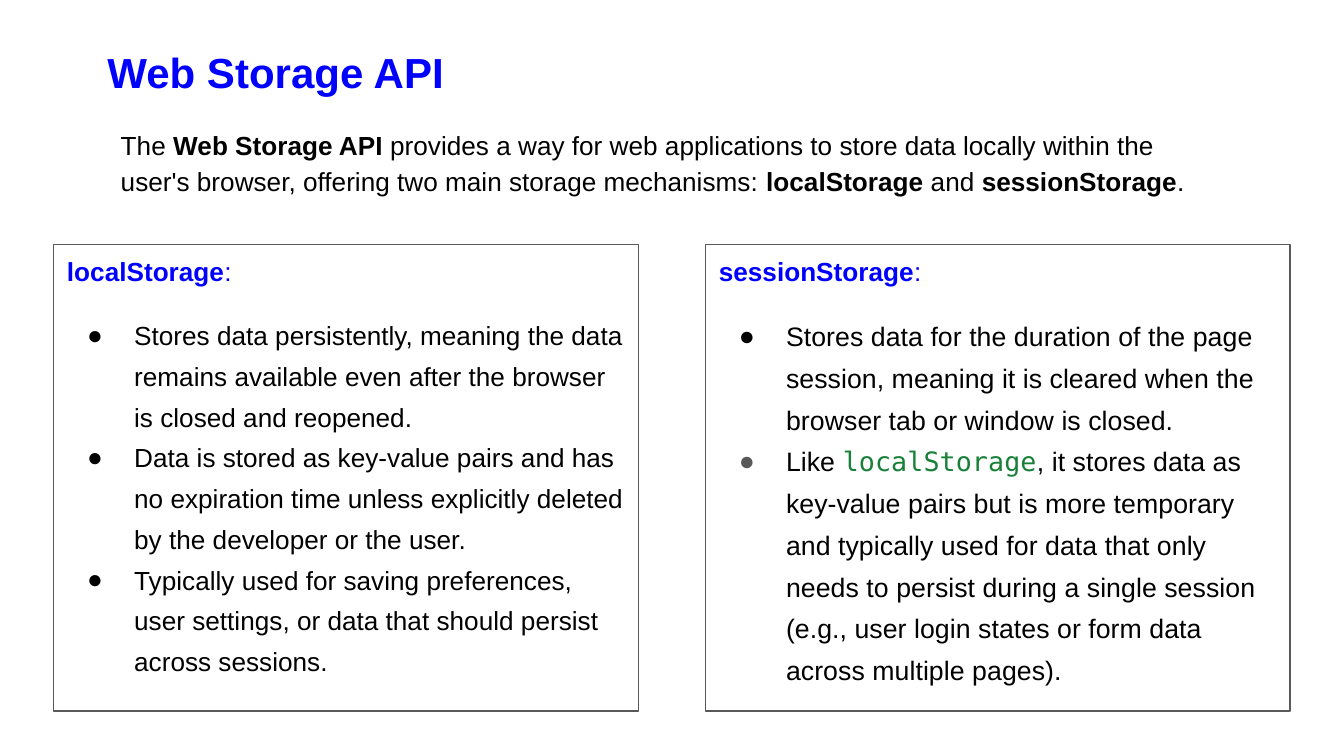
from dataclasses import dataclass

from lxml.etree import SubElement
from pptx import Presentation
from pptx.dml.color import RGBColor
from pptx.enum.shapes import MSO_SHAPE as Shape
from pptx.enum.text import MSO_ANCHOR as Anchor, PP_ALIGN as Align
from pptx.oxml.ns import qn
from pptx.util import Inches, Pt


@dataclass(frozen=True)
class Theme:
    """Colours, fonts and type sizes of the slide."""
    accent: str = "0000FF"
    ink: str = "000000"
    muted: str = "595959"
    code: str = "188038"
    font: str = "Arial"
    code_font: str = "DejaVu Sans Mono"
    title_size: float = 22.5
    body_size: float = 14
    session_size: float = 14.35


THEME = Theme()

LOCAL_POINTS = [
    "Stores data persistently, meaning the data remains available even after "
    "the browser is closed and reopened.",
    "Data is stored as key-value pairs and has no expiration time unless "
    "explicitly deleted by the developer or the user.",
    "Typically used for saving preferences, user settings, or data that "
    "should persist across sessions.",
]
SESSION_DURATION = (
    "Stores data for the duration of the page session, meaning it is cleared "
    "when the browser tab or window is closed.")
SESSION_USE = (
    ", it stores data as key-value pairs but is more temporary and typically "
    "used for data that only needs to persist during a single session (e.g., "
    "user login states or form data across multiple pages).")


def add_run(paragraph, text, size=THEME.body_size, color=THEME.ink,
            bold=False, font=THEME.font):
    """Append one formatted run to a paragraph."""
    run = paragraph.add_run()
    run.text = text
    run.font.size = Pt(size)
    run.font.name = font
    run.font.bold = bold
    run.font.color.rgb = RGBColor.from_string(color)


def prepare_frame(shape, anchor=Anchor.TOP):
    """Set wrapping, margins and anchor, and return the first paragraph."""
    frame = shape.text_frame
    frame.word_wrap = True
    frame.vertical_anchor = anchor
    frame.margin_left = frame.margin_right = Inches(0.1)
    frame.margin_top = frame.margin_bottom = Inches(0.1)
    frame.paragraphs[0].alignment = Align.LEFT
    return frame.paragraphs[0]


def add_text(slide, left, top, width, height, anchor=Anchor.TOP):
    """Add a text box and return its first paragraph."""
    box = slide.shapes.add_textbox(
        Inches(left), Inches(top), Inches(width), Inches(height))
    return prepare_frame(box, anchor)


def add_bullet(frame, bullet_color=THEME.ink):
    """Append an empty bulleted paragraph."""
    paragraph = frame.add_paragraph()
    paragraph.alignment = Align.LEFT
    paragraph.line_spacing = 1.3
    properties = paragraph._p.get_or_add_pPr()
    properties.set("marL", str(Inches(0.5)))
    properties.set("indent", str(Inches(-0.35)))
    color = SubElement(properties, qn("a:buClr"))
    SubElement(color, qn("a:srgbClr"), val=bullet_color)
    SubElement(properties, qn("a:buSzPts"), val=str(THEME.body_size * 100))
    SubElement(properties, qn("a:buFont"), typeface=THEME.font)
    SubElement(properties, qn("a:buChar"), char="●")
    return paragraph


def add_panel(slide, left, heading):
    """Add an outlined panel with its heading and return its text frame."""
    panel = slide.shapes.add_shape(
        Shape.RECTANGLE, Inches(left), Inches(1.82), Inches(4.35), Inches(3.47))
    panel.shadow.inherit = False
    panel.fill.background()
    panel.line.color.rgb = RGBColor.from_string(THEME.muted)
    panel.line.width = Pt(0.75)
    paragraph = prepare_frame(panel)
    paragraph.line_spacing = 0.95
    paragraph.space_after = Pt(12)
    add_run(paragraph, heading, color=THEME.accent, bold=True)
    add_run(paragraph, ":", color=THEME.accent)
    return panel.text_frame


def add_introduction(slide):
    """Add the introductory sentence with its bold terms."""
    paragraph = add_text(slide, 0.8, 0.83, 8.41, 0.84)
    paragraph.line_spacing = 1.15
    parts = [
        "The ", "Web Storage API",
        " provides a way for web applications to store data locally within "
        "the user's browser, offering two main storage mechanisms: ",
        "localStorage", " and ", "sessionStorage", ".",
    ]
    for index, part in enumerate(parts):
        add_run(paragraph, part, bold=index % 2 == 1)


def main():
    """Build and save the slide."""
    presentation = Presentation()
    presentation.slide_width = Inches(10)
    presentation.slide_height = Inches(10) * 9 // 16
    slide = presentation.slides.add_slide(presentation.slide_layouts[6])

    title = add_text(slide, 0.7, 0.24, 3.08, 0.59, Anchor.MIDDLE)
    add_run(title, "Web Storage API", THEME.title_size, THEME.accent, True)
    add_introduction(slide)

    local_frame = add_panel(slide, 0.4, "localStorage")
    for point in LOCAL_POINTS:
        add_run(add_bullet(local_frame), point)

    session_frame = add_panel(slide, 5.25, "sessionStorage")
    size = THEME.session_size
    add_run(add_bullet(session_frame), SESSION_DURATION, size)
    comparison = add_bullet(session_frame, THEME.muted)
    add_run(comparison, "Like ", size)
    add_run(comparison, "localStorage", size, THEME.code, font=THEME.code_font)
    add_run(comparison, SESSION_USE, size)

    presentation.save("out.pptx")


if __name__ == "__main__":
    main()
